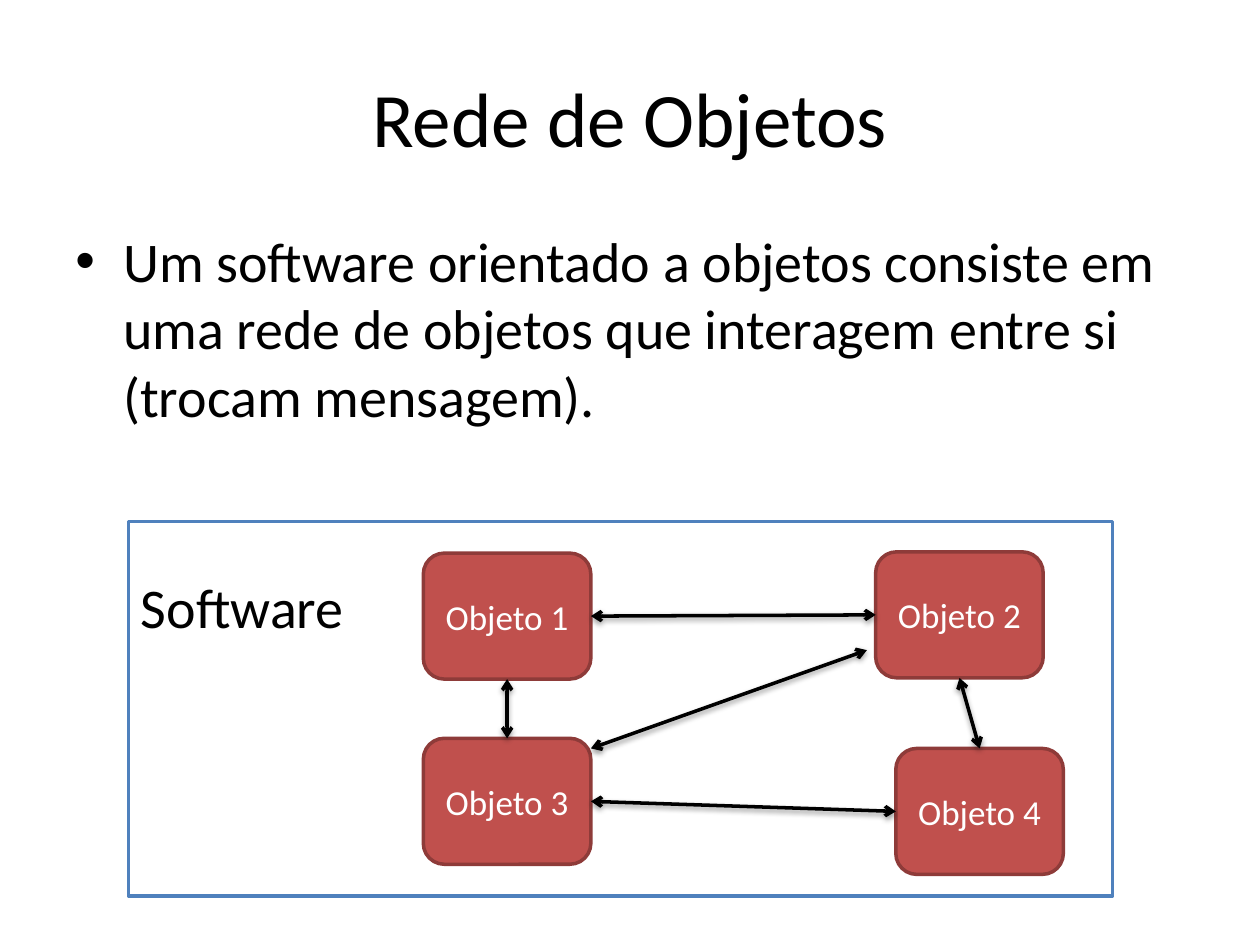
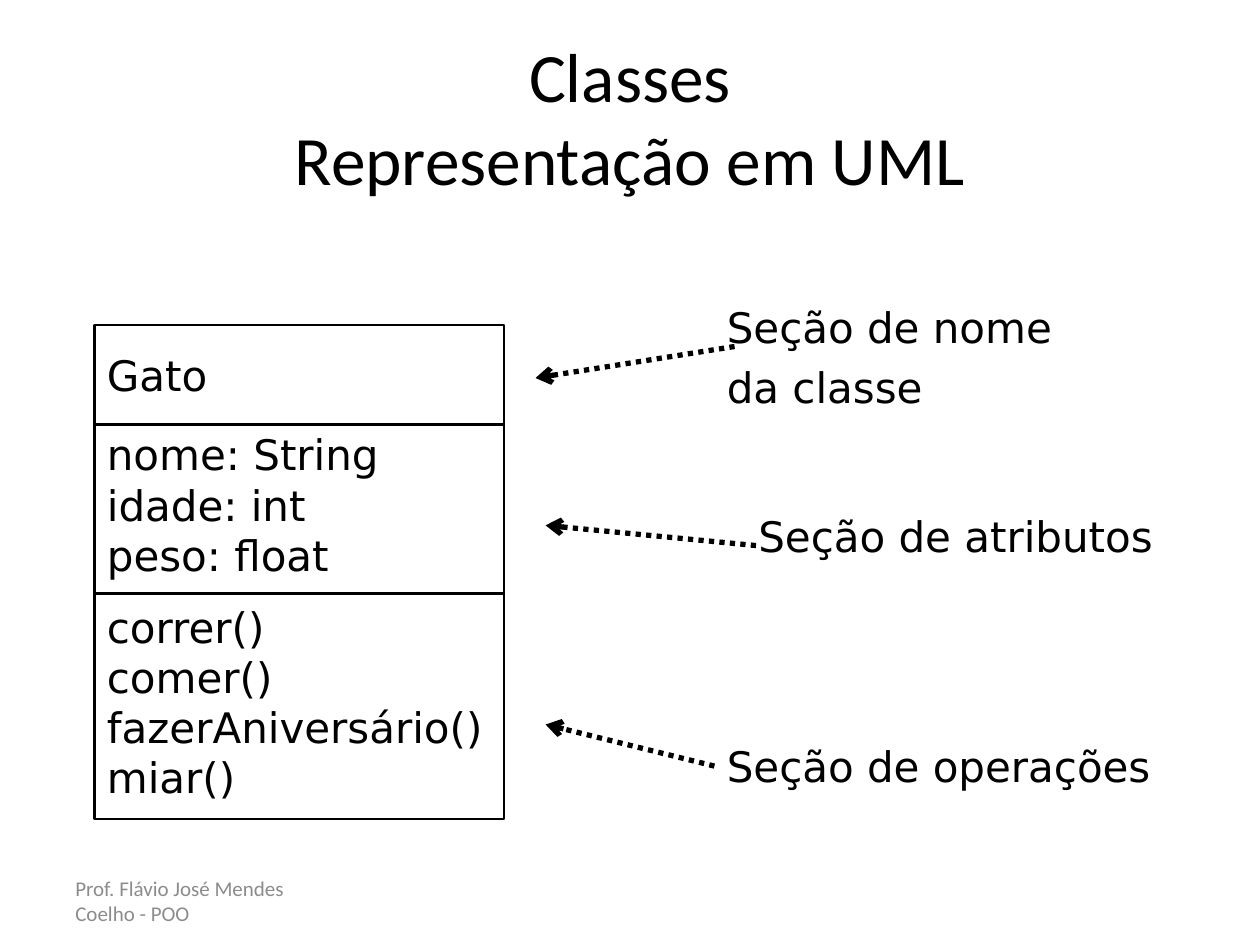
import pptx
import pptx.util
import pptx.dml.color
import pptx.enum.dml
import pptx.enum.shapes
import pptx.enum.text
import pptx.oxml
import pptx.oxml.ns
from dataclasses import dataclass
from lxml import etree

SHAPES = pptx.enum.shapes.MSO_SHAPE
ANCHOR = pptx.enum.text.MSO_ANCHOR
ALIGN = pptx.enum.text.PP_ALIGN
TOP, LEFT, BOTTOM, RIGHT = range(4)
COLUMNS, ROWS = 10, 7.5  # grid cells are one inch square


@dataclass(frozen=True)
class Theme:
    font: str = "Calibri"
    uml_font: str = "DejaVu Sans"
    ink: str = "000000"
    paper: str = "FFFFFF"
    muted: str = "8C8C8C"
    frame: str = "4F81BD"
    node: str = "C0504D"
    node_edge: str = "8E3B39"
    title_size: float = 44
    long_title_size: float = 39.6
    body_size: float = 32
    uml_size: float = 24
    node_size: float = 20
    footer_size: float = 12


THEME = Theme()


def grid(*cells):
    """Turn grid columns and rows into slide lengths."""
    return [pptx.util.Inches(cell) for cell in cells]


def rgb(value):
    return pptx.dml.color.RGBColor.from_string(value)


# Text
def write(shape, text, size, color=THEME.ink, font=THEME.font, align=ALIGN.LEFT,
          anchor=ANCHOR.MIDDLE, space_before=0, line_spacing=None):
    frame = shape.text_frame
    frame.text = text
    frame.word_wrap = True
    frame.vertical_anchor = anchor
    for paragraph in frame.paragraphs:
        paragraph.alignment = align
        paragraph.space_before = pptx.util.Pt(space_before)
        if line_spacing:
            paragraph.line_spacing = line_spacing
        for run in paragraph.runs:
            run.font.name = font
            run.font.size = pptx.util.Pt(size)
            run.font.color.rgb = rgb(color)


def add_text(slide, cells, text, size, **style):
    shape = slide.shapes.add_textbox(*grid(*cells))
    write(shape, text, size, **style)
    return shape


def add_title(slide, text, size=THEME.title_size):
    add_text(slide, (0.5, 0.3, COLUMNS - 1, 1.25), text, size, align=ALIGN.CENTER)


def add_bullet(slide, cells, text):
    shape = add_text(slide, cells, text, THEME.body_size, anchor=ANCHOR.TOP, space_before=7.7)
    indent = pptx.util.Inches(0.38)
    for paragraph in shape.text_frame.paragraphs:
        properties = paragraph._p.get_or_add_pPr()
        properties.set("marL", str(indent))
        properties.set("indent", str(-indent))
        etree.SubElement(properties, pptx.oxml.ns.qn("a:buFont"), typeface="Arial")
        etree.SubElement(properties, pptx.oxml.ns.qn("a:buChar"), char="•")


# Boxes and arrows
def add_box(slide, kind, cells, fill, edge, width):
    shape = slide.shapes.add_shape(kind, *grid(*cells))
    shape.shadow.inherit = False
    shape.fill.solid()
    shape.fill.fore_color.rgb = rgb(fill)
    shape.line.color.rgb = rgb(edge)
    shape.line.width = pptx.util.Pt(width)
    return shape


def add_node(slide, text, column, row):
    shape = add_box(slide, SHAPES.ROUNDED_RECTANGLE, (column, row, 1.33, 1),
                    THEME.node, THEME.node_edge, 2)
    write(shape, text, THEME.node_size, color=THEME.paper, align=ALIGN.CENTER)
    return shape


def add_arrow(slide, start, end, width, ends=("tailEnd",)):
    connector = slide.shapes.add_connector(
        pptx.enum.shapes.MSO_CONNECTOR.STRAIGHT, *grid(*start, *end))
    connector.line.color.rgb = rgb(THEME.ink)
    connector.line.width = pptx.util.Pt(width)
    line = connector.line._get_or_add_ln()
    for name in ends:
        etree.SubElement(line, pptx.oxml.ns.qn("a:" + name), type="arrow")
    etree.SubElement(connector._element.spPr, pptx.oxml.ns.qn("a:effectLst"))
    return connector


def add_message(slide, start=(0, 0), end=(0, 0)):
    """Two-headed arrow with a soft shadow below it."""
    connector = add_arrow(slide, start, end, 2, ends=("headEnd", "tailEnd"))
    effects = connector._element.spPr.find(pptx.oxml.ns.qn("a:effectLst"))
    effects.append(pptx.oxml.parse_xml(
        f'<a:outerShdw {pptx.oxml.ns.nsdecls("a")} blurRad="40000" dist="20000" '
        f'dir="5400000" rotWithShape="0"><a:srgbClr val="{THEME.ink}">'
        '<a:alpha val="38000"/></a:srgbClr></a:outerShdw>'))
    return connector


def add_pointer(slide, start, end):
    connector = add_arrow(slide, start, end, 3)
    connector.line.dash_style = pptx.enum.dml.MSO_LINE.ROUND_DOT


# Slides
def build_object_network(slide):
    add_title(slide, "Rede de Objetos")
    add_bullet(slide, (0.5, 1.75, COLUMNS - 1, 4.95),
               "Um software orientado a objetos consiste em uma rede de objetos "
               "que interagem entre si (trocam mensagem).")

    software = add_box(slide, SHAPES.RECTANGLE, (1.02, 4.14, 7.81, 2.97),
                       THEME.paper, THEME.frame, 2)
    write(software, "Software", THEME.body_size, anchor=ANCHOR.TOP)
    software.text_frame.margin_top = pptx.util.Inches(0.4)

    places = [(3.36, 4.39), (6.95, 4.38), (3.36, 5.86), (7.11, 5.94)]
    first, second, third, fourth = [
        add_node(slide, f"Objeto {number}", *place)
        for number, place in enumerate(places, 1)]

    for source, source_side, target, target_side in [
            (first, RIGHT, second, LEFT), (third, RIGHT, fourth, LEFT),
            (second, BOTTOM, fourth, TOP), (first, BOTTOM, third, TOP)]:
        message = add_message(slide)
        message.begin_connect(source, source_side)
        message.end_connect(target, target_side)
    add_message(slide, (4.69, 5.94), (6.88, 5.16))


def build_uml_class(slide):
    add_text(slide, (0.5, 6.95, 2.33, 0.4), "Prof. Flávio José Mendes Coelho - POO",
             THEME.footer_size, color=THEME.muted)
    add_title(slide, "Classes\vRepresentação em UML", THEME.long_title_size)

    # Class sections, stacked downwards
    row = 2.58
    for height, members in [
            (0.79, ["Gato"]),
            (1.34, ["nome: String", "idade: int", "peso: float"]),
            (1.79, ["correr()", "comer()", "fazerAniversário()", "miar()"])]:
        section = add_box(slide, SHAPES.RECTANGLE, (0.75, row, 3.25, height),
                          THEME.paper, THEME.ink, 1.5)
        write(section, "\n".join(members), THEME.uml_size, font=THEME.uml_font,
              space_before=5.6, line_spacing=0.8 if len(members) > 1 else None)
        row += height

    # Section labels and their pointers
    for label, cells, start, end in [
            ("Seção de nome\nda classe", (5.67, 2.33, 3.33, 1), (5.83, 2.75), (4.25, 3)),
            ("Seção de atributos", (5.92, 3.75, 3.83, 1), (6, 4.33), (4.33, 4.17)),
            ("Seção de operações", (5.67, 5.58, 3.83, 1), (5.67, 6.08), (4.33, 5.75))]:
        add_text(slide, cells, label, THEME.uml_size, font=THEME.uml_font, space_before=5.6)
        add_pointer(slide, start, end)


def main():
    presentation = pptx.Presentation()
    presentation.slide_width, presentation.slide_height = grid(COLUMNS, ROWS)
    blank = presentation.slide_layouts[6]
    for build in (build_object_network, build_uml_class):
        build(presentation.slides.add_slide(blank))
    presentation.save("out.pptx")


if __name__ == "__main__":
    main()
